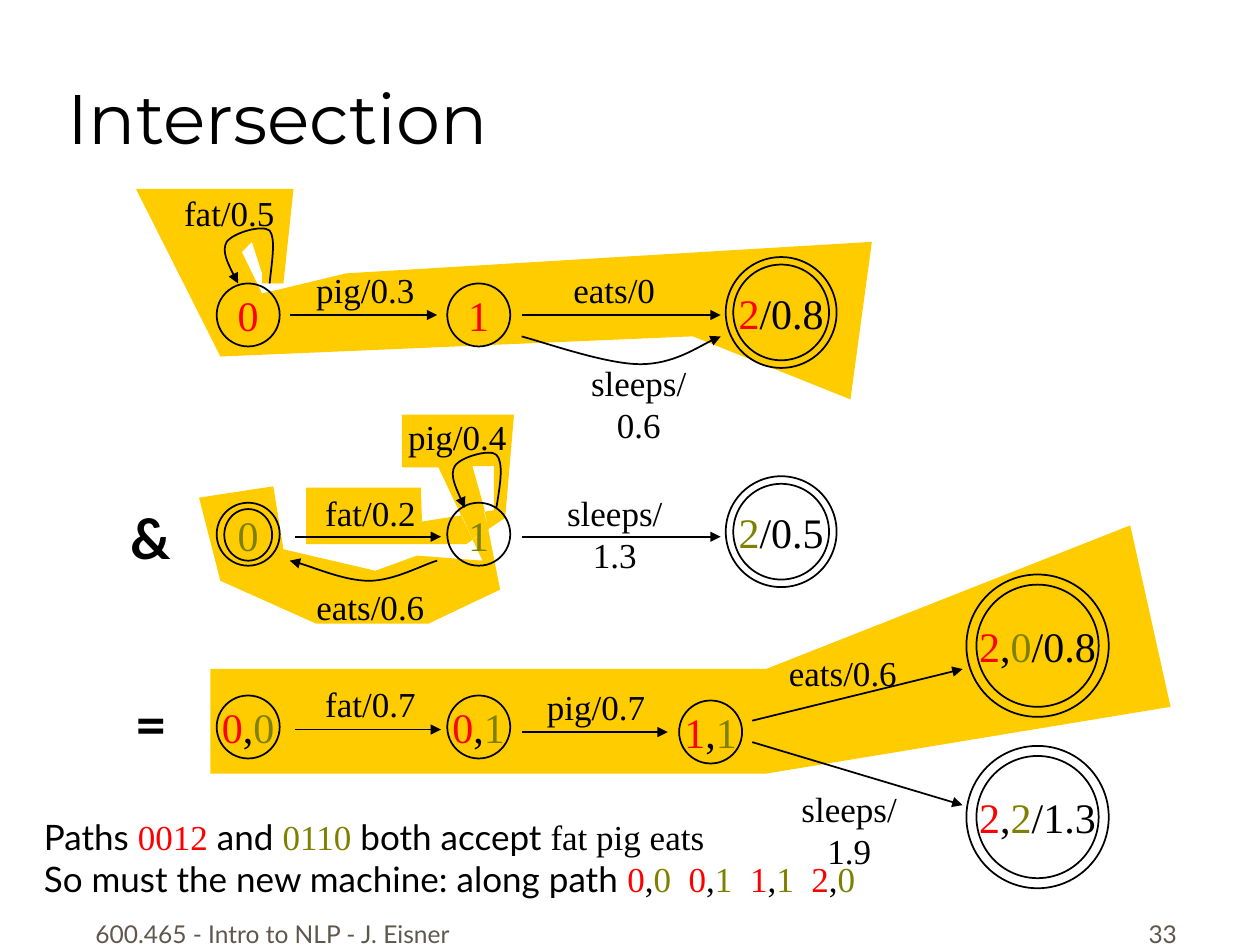
from lxml.etree import SubElement
from pptx import Presentation
from pptx.dml.color import RGBColor
from pptx.enum.shapes import MSO_CONNECTOR as LINK, MSO_SHAPE as KIND
from pptx.enum.text import MSO_ANCHOR as ANCHOR, MSO_AUTO_SIZE as AUTO, PP_ALIGN as ALIGN
from pptx.oxml.ns import qn
from pptx.util import Pt

PX = 9144  # 100 px to the inch
BLACK = RGBColor(0x00, 0x00, 0x00)
RED = RGBColor(0xFF, 0x00, 0x00)
OLIVE = RGBColor(0x80, 0x80, 0x00)
GOLD = RGBColor(0xFF, 0xCC, 0x00)
GREY = RGBColor(0x5E, 0x57, 0x4E)
SERIF, SANS, HEAD = "Times New Roman", "Lato", "Montserrat"


def write(shape, lines, size, face, align=ALIGN.CENTER, bold=False):
    """Fill a shape with paragraphs of (text, colour[, font]) runs."""
    frame = shape.text_frame
    for i, line in enumerate(lines):
        para = frame.paragraphs[0] if i == 0 else frame.add_paragraph()
        para.alignment = align
        for text, ink, *other in line:
            run = para.add_run()
            run.text = text
            run.font.size = Pt(size)
            run.font.name = other[0] if other else face
            run.font.bold = bold
            run.font.color.rgb = ink
    return frame


def draw(shape, tip=True):
    """Give a shape a thin black line, with an arrowhead at its end."""
    shape.line.color.rgb = BLACK
    shape.line.width = Pt(1)
    if tip:
        SubElement(shape.line._get_or_add_ln(), qn("a:tailEnd"), type="triangle")


deck = Presentation()
deck.slide_width, deck.slide_height = 1000 * PX, 750 * PX
slide = deck.slides.add_slide(deck.slide_layouts[6])
shapes = slide.shapes

# Gold bands behind the matching paths
bands = [
    [(208, 217), (200, 192), (192, 200), (208, 233), (275, 217), (692, 192),
     (675, 317), (550, 267), (175, 283), (108, 150), (233, 150), (225, 225),
     (208, 225)],
    [(167, 614), (608, 614), (929, 561), (897, 417), (608, 531), (167, 531)],
    [(366, 408), (375, 428), (388, 420), (384, 406)],
    [(243, 432), (370, 432), (401, 411), (408, 329), (319, 329), (319, 371),
     (348, 371), (383, 445), (331, 441), (298, 453), (225, 436), (217, 386),
     (158, 395), (175, 461), (251, 495), (340, 495), (397, 468), (384, 402),
     (375, 370), (392, 370), (392, 405), (335, 414), (334, 387), (243, 387)],
]
for first, *rest in bands:
    pen = shapes.build_freeform(*first, scale=PX)
    pen.add_line_segments(rest, close=True)
    band = pen.convert_to_shape()
    band.shadow.inherit = False
    band.fill.solid()
    band.fill.fore_color.rgb = GOLD
    band.line.fill.background()

# States: left, top, width, height, label
states = [
    # First machine
    (172, 225, 50, 50, [("0", RED)]),
    (355, 225, 50, 50, [("1", RED)]),
    (582, 210, 76, 76, [("2", RED), ("/0.8", BLACK)]),
    (576, 204, 88, 88, []),
    # Second machine
    (172, 399, 50, 50, [("0", OLIVE)]),
    (178, 404, 38, 41, []),
    (355, 399, 50, 50, [("1", OLIVE)]),
    (582, 384, 76, 76, [("2", OLIVE), ("/0.5", BLACK)]),
    (576, 378, 88, 88, []),
    # Their intersection
    (172, 552, 50, 50, [("0", RED), (",", BLACK), ("0", OLIVE)]),
    (355, 552, 50, 50, [("0", RED), (",", BLACK), ("1", OLIVE)]),
    (539, 556, 50, 50, [("1", RED), (",", BLACK), ("1", OLIVE)]),
    (775, 464, 97, 97, [("2", RED), (",", BLACK), ("0", OLIVE), ("/0.8", BLACK)]),
    (767, 456, 113, 113, []),
    (775, 600, 97, 97, [("2", RED), (",", BLACK), ("2", OLIVE), ("/1.3", BLACK)]),
    (767, 592, 113, 113, []),
]
for *box, runs in states:
    ring = shapes.add_shape(KIND.OVAL, *[n * PX for n in box])
    ring.shadow.inherit = False
    ring.fill.background()
    draw(ring, tip=False)
    if runs:
        frame = write(ring, [runs], 24, SERIF)
        frame.word_wrap = False
        frame.vertical_anchor = ANCHOR.MIDDLE

# Straight arcs
arcs = [
    (230, 250, 347, 250), (414, 250, 572, 250),
    (234, 426, 350, 426), (414, 426, 572, 426),
    (234, 579, 350, 579), (414, 581, 530, 581),
    (597, 572, 764, 531), (597, 589, 764, 639),
]
for ends in arcs:
    arc = shapes.add_connector(LINK.STRAIGHT, *[n * PX for n in ends])
    draw(arc)
    SubElement(arc._element.spPr, qn("a:effectLst"))

# Curved arcs: a start, then three Bezier points for each bend
curves = [
    [(214, 225), (216, 207), (219, 189), (214, 183), (208, 178), (185, 185),
     (180, 192), (176, 199), (182, 212), (189, 225)],
    [(394, 403), (397, 385), (400, 367), (394, 361), (389, 356), (365, 363),
     (361, 370), (357, 377), (363, 390), (369, 403)],
    [(414, 267), (433, 272), (481, 289), (508, 289), (534, 289), (561, 271),
     (572, 267)],
    [(347, 445), (336, 448), (313, 461), (293, 461), (274, 461), (241, 447),
     (230, 445)],
]
for first, *rest in curves:
    pen = shapes.build_freeform(*first, scale=PX)
    pen.add_line_segments(rest, close=False)
    curve = pen.convert_to_shape()
    curve.shadow.inherit = False
    curve.fill.background()
    draw(curve)
    geom = next(curve._element.iter(qn("a:path")))
    steps = geom.findall(qn("a:lnTo"))
    for i in range(0, len(steps), 3):
        bend = SubElement(geom, qn("a:cubicBezTo"))
        for step in steps[i:i + 3]:
            bend.append(step[0])
            geom.remove(step)

# Arc labels and the signs between machines
labels = [
    (136, 147, 92, "fat/0.5"), (241, 208, 98, "pig/0.3"),
    (445, 208, 85, "eats/0"), (442, 282, 130, "sleeps/0.6"),
    (248, 385, 92, "fat/0.2"), (241, 460, 106, "eats/0.6"),
    (423, 385, 130, "sleeps/1.3"), (314, 325, 98, "pig/0.4"),
    (248, 537, 92, "fat/0.7"), (424, 539, 98, "pig/0.7"),
    (616, 512, 106, "eats/0.6"), (609, 620, 130, "sleeps/1.9"),
    (93, 395, 53, "&"), (97, 542, 45, "="),
]
for left, top, wide, text in labels:
    sign = len(text) == 1
    high, size, face = (64, 32, SANS) if sign else (44, 20, SERIF)
    box = shapes.add_textbox(left * PX, top * PX, wide * PX, high * PX)
    frame = write(box, [[(text, BLACK)]], size, face, bold=sign)
    frame.word_wrap = False
    frame.auto_size = AUTO.SHAPE_TO_FIT_TEXT

# Title and footer
notes = [
    (44, 6, 850, 125, "Intersection", 40, HEAD, BLACK, ALIGN.LEFT, 0),
    (58, 708, 317, 50, "600.465 - Intro to NLP - J. Eisner", 14, SANS, GREY,
     ALIGN.CENTER, 8.8),
    (736, 708, 208, 50, "33", 14, SANS, GREY, ALIGN.RIGHT, 8.8),
]
for left, top, wide, high, text, size, face, ink, align, gap in notes:
    box = shapes.add_textbox(left * PX, top * PX, wide * PX, high * PX)
    frame = write(box, [[(text, ink)]], size, face, align)
    frame.word_wrap = True
    frame.vertical_anchor = ANCHOR.BOTTOM
    frame.paragraphs[0].space_before = Pt(gap)

# Closing remark
remark = [
    [("Paths ", BLACK), ("0012", RED, SERIF), (" and ", BLACK),
     ("0110", OLIVE, SERIF), (" both accept ", BLACK),
     ("fat pig eats", BLACK, SERIF)],
    [("So must the new machine: along path ", BLACK)],
]
for one, two in [("0", "0  "), ("0", "1  "), ("1", "1  "), ("2", "0")]:
    remark[1] += [(one, RED, SERIF), (",", BLACK, SERIF), (two, OLIVE, SERIF)]
box = shapes.add_textbox(25 * PX, 642 * PX, 733 * PX, 77 * PX)
frame = write(box, remark, 20, SANS, ALIGN.LEFT)
frame.word_wrap = True
frame.auto_size = AUTO.SHAPE_TO_FIT_TEXT

deck.save("out.pptx")
